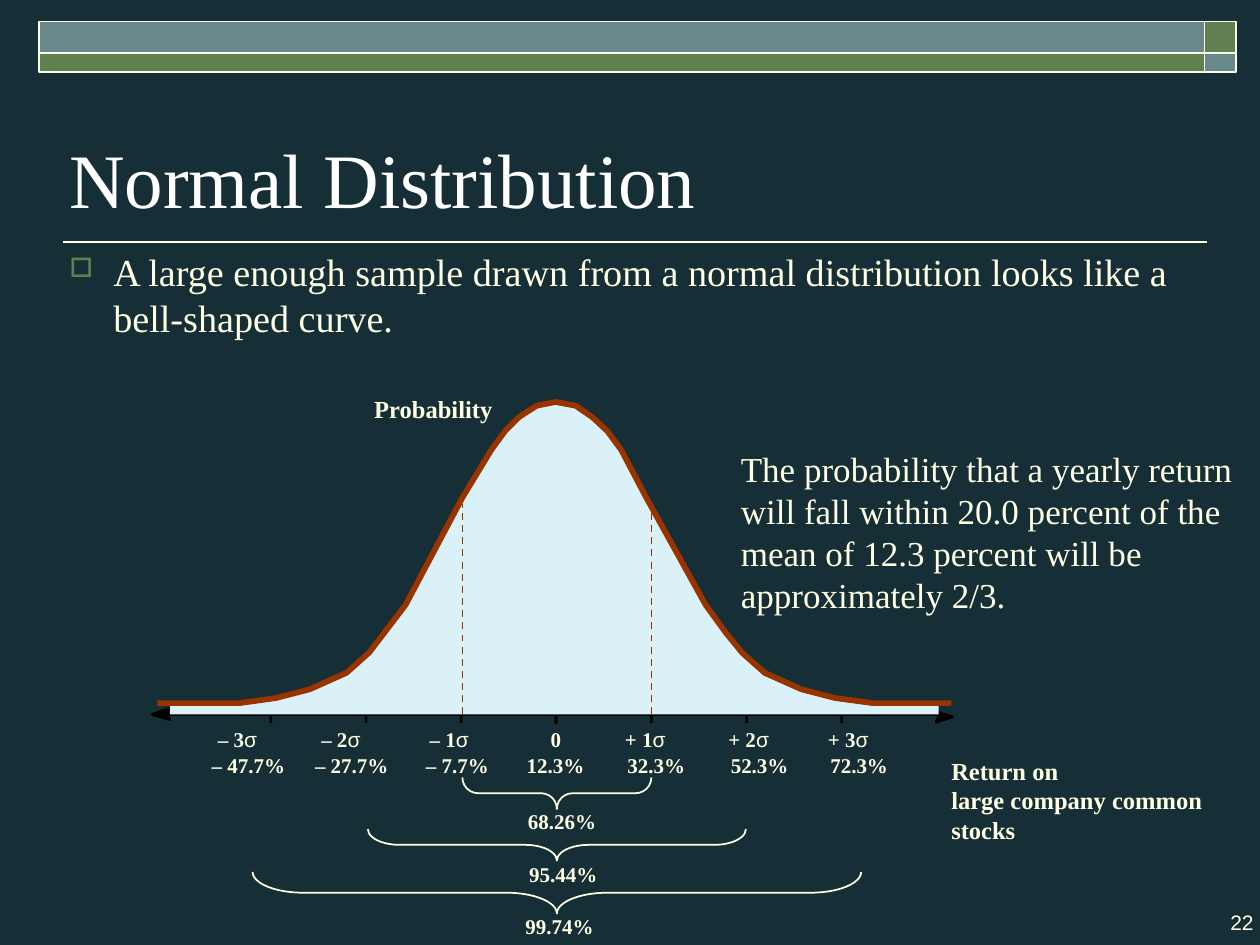
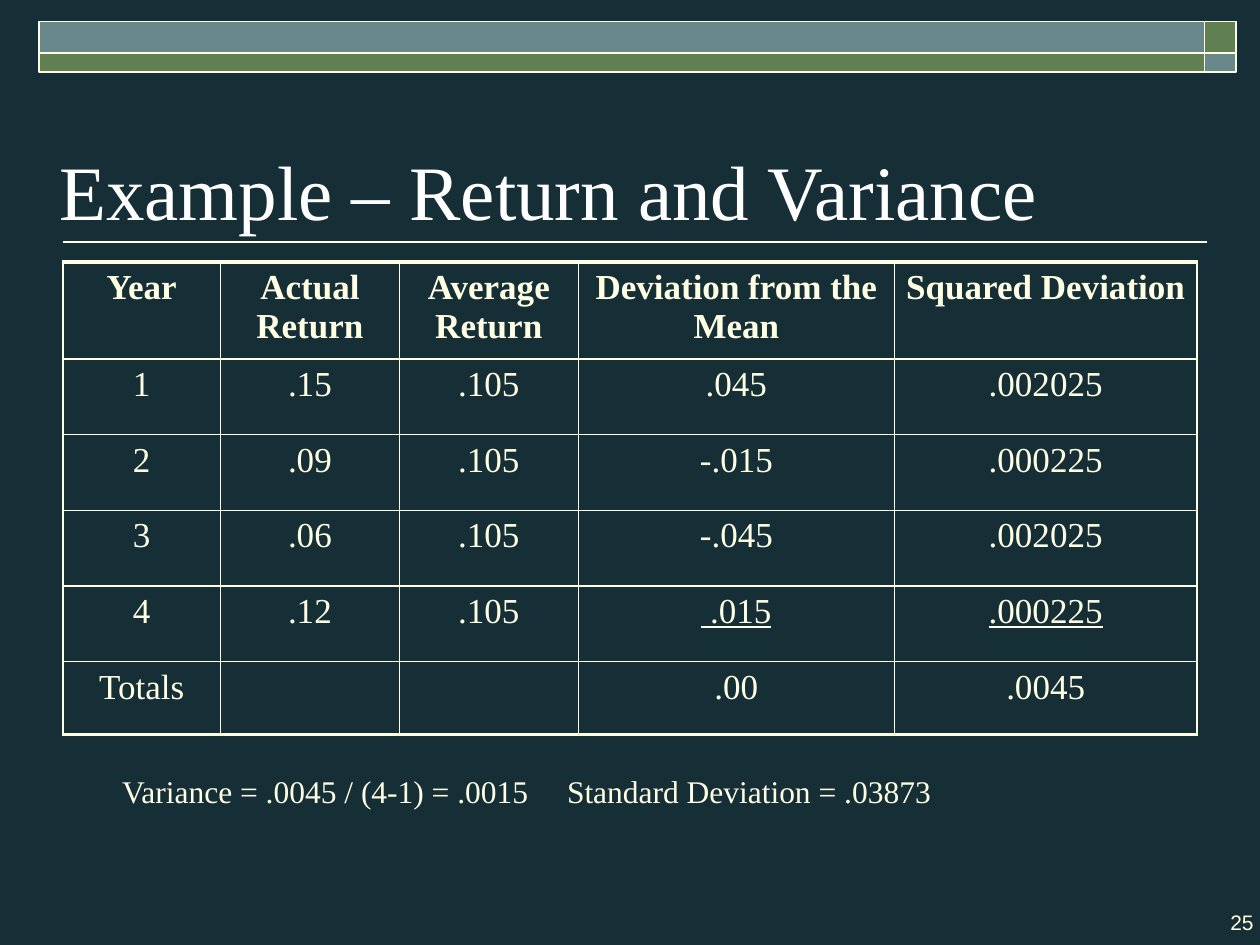
from dataclasses import dataclass

from lxml import etree
from pptx import Presentation
from pptx.dml.color import RGBColor
from pptx.enum.dml import MSO_LINE
from pptx.enum.shapes import MSO_CONNECTOR, MSO_SHAPE
from pptx.enum.text import MSO_ANCHOR, PP_ALIGN
from pptx.oxml.ns import qn
from pptx.util import Inches, Pt

LEFT, CENTER, RIGHT = PP_ALIGN.LEFT, PP_ALIGN.CENTER, PP_ALIGN.RIGHT
TOP, BOTTOM = MSO_ANCHOR.TOP, MSO_ANCHOR.BOTTOM
RECTANGLE, LEFT_BRACE = MSO_SHAPE.RECTANGLE, MSO_SHAPE.LEFT_BRACE
STRAIGHT = MSO_CONNECTOR.STRAIGHT
DASH = MSO_LINE.DASH


@dataclass(frozen=True)
class Theme:
    background: str = "162E36"
    cream: str = "FFFFE3"
    white: str = "FFFFFF"
    green: str = "618052"
    teal: str = "69888B"
    ice: str = "D9F1F7"
    rust: str = "993300"
    black: str = "000000"
    serif: str = "Times New Roman"
    sans: str = "Arial"
    title: float = 44
    body: float = 21.8
    large: float = 20
    result: float = 18
    caption: float = 14
    small: float = 12
    inset: float = 0.05
    hairline: float = 1
    table_edge: float = 2.25


def color(value):
    return RGBColor.from_string(value)


def child(parent, tag, **attributes):
    return etree.SubElement(parent, qn(tag), attributes)


class Painter:
    def __init__(self, deck, theme):
        self.deck = deck
        self.theme = theme
        self.page = None

    def new_page(self, number):
        theme = self.theme
        self.page = self.deck.slides.add_slide(self.deck.slide_layouts[6])
        fill = self.page.background.fill
        fill.solid()
        fill.fore_color.rgb = color(theme.background)
        self.line((9.58, 1.92), (0.5, 1.92), theme.cream)
        for left, width, colors in (
            (0.31, 9.25, (theme.teal, theme.green)),
            (9.56, 0.25, (theme.green, theme.teal)),
        ):
            for (top, height), band in zip(((0.17, 0.25), (0.42, 0.15)), colors):
                self.shape(RECTANGLE, (left, top, width, height), band, theme.cream)
        self.text(str(number), (9.4, 7.17, 0.6, 0.3), theme.small,
                  font=theme.sans, align=RIGHT)

    def paint(self, shape, fill, line, width):
        shape.shadow.inherit = False
        if fill:
            shape.fill.solid()
            shape.fill.fore_color.rgb = color(fill)
        else:
            shape.fill.background()
        if line:
            shape.line.color.rgb = color(line)
            shape.line.width = Pt(width)
        else:
            shape.line.fill.background()

    def shape(self, kind, place, fill=None, line=None, width=Theme.hairline):
        shape = self.page.shapes.add_shape(kind, *map(Inches, place))
        self.paint(shape, fill, line, width)
        return shape

    def outline(self, points, fill=None, line=None, width=Theme.hairline, close=True):
        corners = [(Inches(x), Inches(y)) for x, y in points]
        builder = self.page.shapes.build_freeform(*corners[0], scale=1.0)
        builder.add_line_segments(corners[1:], close=close)
        self.paint(builder.convert_to_shape(), fill, line, width)

    def line(self, start, end, stroke, width=Theme.hairline, dash=None):
        line = self.page.shapes.add_connector(STRAIGHT, *map(Inches, start + end))
        line.line.color.rgb = color(stroke)
        line.line.width = Pt(width)
        if dash:
            line.line.dash_style = dash
        child(line._element.spPr, "a:effectLst")

    def brace(self, center, top, length, depth):
        place = (center - depth / 2, top + depth / 2 - length / 2, depth, length)
        brace = self.shape(LEFT_BRACE, place, line=self.theme.cream)
        brace.rotation = 270
        brace.adjustments[0] = length / 12 / depth

    def set_font(self, para, size, tint=None, font=None, bold=False):
        para.font.name = font or self.theme.serif
        para.font.size = Pt(size)
        para.font.bold = bold
        para.font.color.rgb = color(tint or self.theme.cream)

    def text(self, words, place, size, tint=None, font=None, bold=False,
             align=LEFT, anchor=TOP, before=0, wrap=True):
        box = self.page.shapes.add_textbox(*map(Inches, place))
        frame = box.text_frame
        frame.word_wrap = wrap
        frame.vertical_anchor = anchor
        inset = Inches(self.theme.inset)
        frame.margin_left = frame.margin_right = inset
        frame.margin_top = frame.margin_bottom = inset
        para = frame.paragraphs[0]
        para.text = words
        para.alignment = align
        para.space_before = Pt(before)
        self.set_font(para, size, tint, font, bold)
        return para

    def title(self, words, place):
        self.text(words, place, self.theme.title, self.theme.white, anchor=BOTTOM)

    def indent(self, para, margin, first):
        properties = para._p.get_or_add_pPr()
        properties.set("marL", str(Inches(margin)))
        properties.set("indent", str(Inches(first)))
        return properties

    def bullet(self, words, place):
        para = self.text(words, place, self.theme.body, before=5)
        properties = self.indent(para, 0.35, -0.35)
        tint = etree.Element(qn("a:buClr"))
        child(tint, "a:srgbClr", val=self.theme.green)
        size = etree.Element(qn("a:buSzPct"), val="70000")
        mark = etree.Element(qn("a:buChar"), char="□")
        default = properties.find(qn("a:defRPr"))
        for element in (tint, size, mark):
            default.addprevious(element)

    def sigma_label(self, multiple, value, left, margin, first):
        para = self.text(multiple, (left, 5.72, 0.85, 0.52), self.theme.small, bold=True)
        self.indent(para, margin, first)
        if multiple != "0":
            sigma = para.add_run()
            sigma.text = "σ"
            sigma.font.name = self.theme.sans
            sigma.font.bold = False
        para.add_line_break()
        para.add_run().text = value

    def tab_stop(self, para, position):
        stops = etree.Element(qn("a:tabLst"))
        child(stops, "a:tab", pos=str(Inches(position)), algn="l")
        para._p.pPr.find(qn("a:defRPr")).addprevious(stops)

    def cell_borders(self, cell, top, bottom):
        properties = cell._tc.get_or_add_tcPr()
        hairline = self.theme.hairline
        sides = (("L", hairline), ("R", hairline), ("T", top), ("B", bottom))
        for position, (side, width) in enumerate(sides):
            border = etree.Element(qn("a:ln" + side), w=str(Pt(width)))
            fill = child(border, "a:solidFill")
            child(fill, "a:srgbClr", val=self.theme.cream)
            properties.insert(position, border)

    def table(self, rows, place, widths, heights, underlined):
        theme = self.theme
        table = self.page.shapes.add_table(
            len(rows), len(widths), *map(Inches, place)).table
        table.first_row = table.horz_banding = False
        for column, width in zip(table.columns, widths):
            column.width = Inches(width)
        for row, height in zip(table.rows, heights):
            row.height = Inches(height)
        last = len(rows) - 1
        for r, values in enumerate(rows):
            for c, value in enumerate(values):
                cell = table.cell(r, c)
                cell.fill.background()
                cell.margin_left = cell.margin_right = Inches(theme.inset)
                cell.margin_top = cell.margin_bottom = Inches(theme.inset)
                para = cell.text_frame.paragraphs[0]
                para.text = value
                para.alignment = CENTER
                para.space_before = Pt(4)
                self.set_font(para, theme.large, bold=r == 0)
                if (r, c) in underlined:
                    para.font.underline = True
                self.cell_borders(
                    cell,
                    theme.table_edge if r == 0 else theme.hairline,
                    theme.table_edge if r == last else theme.hairline)


def normal_distribution(painter):
    theme = painter.theme
    painter.new_page(22)
    painter.title("Normal Distribution", (0.5, 0.58, 9, 1.25))
    painter.bullet("A large enough sample drawn from a normal distribution "
                   "looks like a bell-shaped curve.", (0.5, 1.92, 9, 0.77))
    painter.text("Probability", (2.92, 3.08, 1.05, 0.31), theme.caption,
                 bold=True, wrap=False)
    painter.text("Return on\vlarge company common\vstocks", (7.5, 5.95, 2.5, 0.76),
                 theme.caption, bold=True)

    labels = (
        ("– 3", "– 47.7%", 1.63, 0, 0.05),
        ("– 2", "– 27.7%", 2.45, 0, 0.05),
        ("– 1", "– 7.7%", 3.33, 0, 0.03),
        ("0", "12.3%", 4.13, 0, 0.19),
        ("+ 1", "32.3%", 4.91, 0.02, -0.02),
        ("+ 2", "52.3%", 5.73, 0.02, -0.02),
        ("+ 3", "72.3%", 6.52, 0.02, -0.02),
    )
    for label in labels:
        painter.sigma_label(*label)
    painter.text("The probability that a yearly return will fall within 20.0 percent "
                 "of the mean of 12.3 percent will be approximately 2/3.",
                 (5.83, 3.5, 4.17, 1.37), theme.large, before=4)

    axis = 5.67
    painter.line((1.32, axis), (7.43, axis), theme.black, 1.63)
    right_head = ((7.56, 5.69), (7.43, 5.65), (7.45, 5.69), (7.43, 5.73))
    left_head = ((1.21, 5.67), (1.35, 5.71), (1.32, 5.67), (1.35, 5.62))
    for head in (right_head, left_head):
        painter.outline(head, theme.black, theme.black, 1.63)
    first_tick, last_tick = 2.14, 6.67
    for step in range(7):
        left = first_tick + (last_tick - first_tick) * step / 6
        painter.shape(RECTANGLE, (left, axis, 0.02, 0.07), theme.black)
    painter.shape(RECTANGLE, (4.4, 5.57, 0.02, 0.18), theme.black)

    bell = (
        (1.9, 5.58), (2.19, 5.54), (2.46, 5.47), (2.75, 5.34), (2.93, 5.18),
        (3.22, 4.8), (3.67, 3.95), (3.9, 3.57), (4.01, 3.42), (4.12, 3.31),
        (4.26, 3.22), (4.41, 3.19), (4.57, 3.22), (4.7, 3.31), (4.82, 3.42),
        (4.93, 3.57), (5.13, 3.95), (5.6, 4.8), (5.76, 5.02), (5.89, 5.18),
        (6.07, 5.34), (6.36, 5.47), (6.63, 5.54), (6.93, 5.58),
    )
    area = [(x - 0.01, y + 0.02) for x, y in bell]
    painter.outline([(1.35, axis), (1.35, 5.6), *area, (7.45, 5.6), (7.45, axis)],
                    theme.ice)
    for x in (3.67, 5.17):
        painter.line((x, axis), (x, 4), theme.rust, dash=DASH)
    painter.outline([(1.25, 5.58), *bell, (7.55, 5.58)], line=theme.rust,
                    width=3.25, close=False)

    for share, left, top, brace_top, length, depth in (
        ("68.26%", 4.14, 6.37, 6.17, 1.5, 0.25),
        ("95.44%", 4.15, 6.79, 6.58, 3, 0.25),
        ("99.74%", 4.12, 7.2, 6.92, 4.83, 0.33),
    ):
        painter.brace(4.42, brace_top, length, depth)
        painter.text(share, (left, top, 0.65, 0.3), theme.small, bold=True, wrap=False)


def return_and_variance(painter):
    painter.new_page(25)
    painter.title("Example – Return and Variance", (0.42, 0.92, 9.33, 1))
    rows = (
        ("Year", "Actual Return", "Average Return", "Deviation from the Mean",
         "Squared Deviation"),
        ("1", ".15", ".105", ".045", ".002025"),
        ("2", ".09", ".105", "-.015", ".000225"),
        ("3", ".06", ".105", "-.045", ".002025"),
        ("4", ".12", ".105", " .015", ".000225"),
        ("Totals", "", "", ".00", ".0045"),
    )
    painter.table(rows, (0.5, 2.08, 9, 3.75), (1.25, 1.42, 1.42, 2.51, 2.4),
                  (0.77, 0.6, 0.6, 0.6, 0.6, 0.58), {(4, 3), (4, 4)})
    para = painter.text(
        "Variance = .0045 / (4-1) = .0015\tStandard Deviation = .03873",
        (0.92, 6.08, 8.92, 0.38), painter.theme.result, before=10)
    painter.tab_stop(para, 3.53)


def main():
    deck = Presentation()
    deck.slide_width, deck.slide_height = Inches(10), Inches(7.5)
    painter = Painter(deck, Theme())
    normal_distribution(painter)
    return_and_variance(painter)
    deck.save("out.pptx")


if __name__ == "__main__":
    main()
